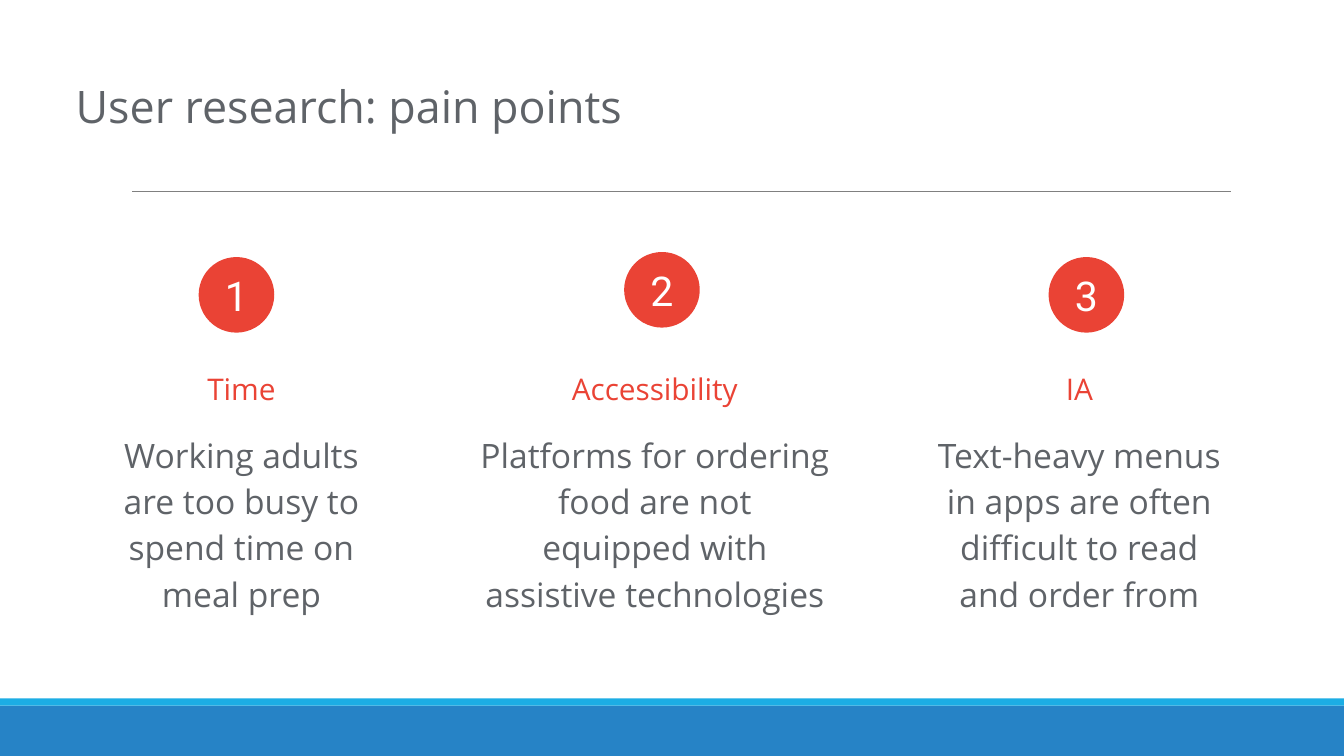
from dataclasses import dataclass

from lxml import etree
from pptx import Presentation
from pptx.dml.color import RGBColor
from pptx.enum.shapes import MSO_CONNECTOR, MSO_SHAPE
from pptx.enum.text import MSO_ANCHOR, PP_ALIGN
from pptx.oxml.ns import qn
from pptx.shapes.autoshape import Shape
from pptx.slide import Slide
from pptx.util import Inches, Pt

RECT = MSO_SHAPE.RECTANGLE
OVAL = MSO_SHAPE.OVAL
STRAIGHT = MSO_CONNECTOR.STRAIGHT
MIDDLE = MSO_ANCHOR.MIDDLE
LEFT = PP_ALIGN.LEFT
CENTER = PP_ALIGN.CENTER

BLUE = RGBColor(0x26, 0x83, 0xC6)
CYAN = RGBColor(0x1C, 0xAD, 0xE4)
RED = RGBColor(0xEA, 0x43, 0x35)
GRAY = RGBColor(0x5F, 0x63, 0x68)
RULE = RGBColor(0x80, 0x80, 0x80)
WHITE = RGBColor(0xFF, 0xFF, 0xFF)

WIDTH = 13.33
HEIGHT = 7.5
DISC = 0.75
HEAD_WIDTH = 2.73
INSET = 0.13


@dataclass(frozen=True)
class Box:
    left: float
    top: float
    width: float
    height: float


@dataclass(frozen=True)
class Style:
    font: str
    size: float
    color: RGBColor
    align: PP_ALIGN = CENTER
    spacing: float = 1.0


@dataclass(frozen=True)
class Point:
    head: str
    body: str
    middle: float
    width: float
    height: float
    disc_left: float
    disc_top: float


TITLE = Style("Open Sans", 32, GRAY, LEFT)
HEAD = Style("Open Sans", 21.3, RED, spacing=1.5)
BODY = Style("Open Sans", 24, GRAY, spacing=1.15)
NUMBER = Style("Roboto", 29.3, WHITE)

BANDS = [
    (Box(0, 7, WIDTH, 0.5), BLUE),
    (Box(0, 6.93, WIDTH, 0.07), CYAN),
]

POINTS = [
    Point("Time", "Working adults are too busy to spend time on meal prep",
          2.46, 2.73, 2.13, 1.97, 2.55),
    Point("Accessibility",
          "Platforms for ordering food are not equipped with assistive technologies",
          6.56, 3.6, 2.13, 6.19, 2.5),
    Point("IA",
          "Text-heavy menus in apps are often difficult to read and order from",
          10.77, 2.94, 2.59, 10.4, 2.55),
]


def write(shape: Shape, text: str, style: Style, inset: float) -> None:
    frame = shape.text_frame
    frame.text = text
    frame.word_wrap = True
    frame.margin_left = 0
    frame.margin_top = frame.margin_right = frame.margin_bottom = Inches(inset)
    line = frame.paragraphs[0]
    line.alignment = style.align
    line.line_spacing = style.spacing
    font = line.runs[0].font
    font.name = style.font
    font.size = Pt(style.size)
    font.color.rgb = style.color


def add_text(slide: Slide, box: Box, text: str, style: Style) -> None:
    shape = slide.shapes.add_textbox(
        Inches(box.left), Inches(box.top), Inches(box.width), Inches(box.height))
    write(shape, text, style, INSET)


def add_solid(slide: Slide, kind: MSO_SHAPE, box: Box, color: RGBColor) -> Shape:
    shape = slide.shapes.add_shape(
        kind, Inches(box.left), Inches(box.top), Inches(box.width), Inches(box.height))
    shape.shadow.inherit = False
    shape.fill.solid()
    shape.fill.fore_color.rgb = color
    shape.line.fill.background()
    return shape


def add_rule(slide: Slide, left: float, right: float, top: float) -> None:
    rule = slide.shapes.add_connector(
        STRAIGHT, Inches(left), Inches(top), Inches(right), Inches(top))
    rule.line.color.rgb = RULE
    rule.line.width = Pt(0.5)
    etree.SubElement(rule._element.spPr, qn("a:effectLst"))


def add_point(slide: Slide, number: int, point: Point) -> None:
    head = Box(point.middle - HEAD_WIDTH / 2, 3.37, HEAD_WIDTH, 0.81)
    body = Box(point.middle - point.width / 2, 4.12, point.width, point.height)
    add_text(slide, head, point.head, HEAD)
    add_text(slide, body, point.body, BODY)
    disc = add_solid(
        slide, OVAL, Box(point.disc_left, point.disc_top, DISC, DISC), RED)
    write(disc, str(number), NUMBER, 0)
    disc.text_frame.vertical_anchor = MIDDLE


def main() -> None:
    deck = Presentation()
    deck.slide_width = Inches(WIDTH)
    deck.slide_height = Inches(HEIGHT)
    slide = deck.slides.add_slide(deck.slide_layouts[6])
    for box, color in BANDS:
        add_solid(slide, RECT, box, color)
    add_rule(slide, 1.31, 12.21, 1.9)
    add_text(slide, Box(0.75, 0.65, 8.98, 0.81), "User research: pain points", TITLE)
    for number, point in enumerate(POINTS, 1):
        add_point(slide, number, point)
    deck.save("out.pptx")


if __name__ == "__main__":
    main()
